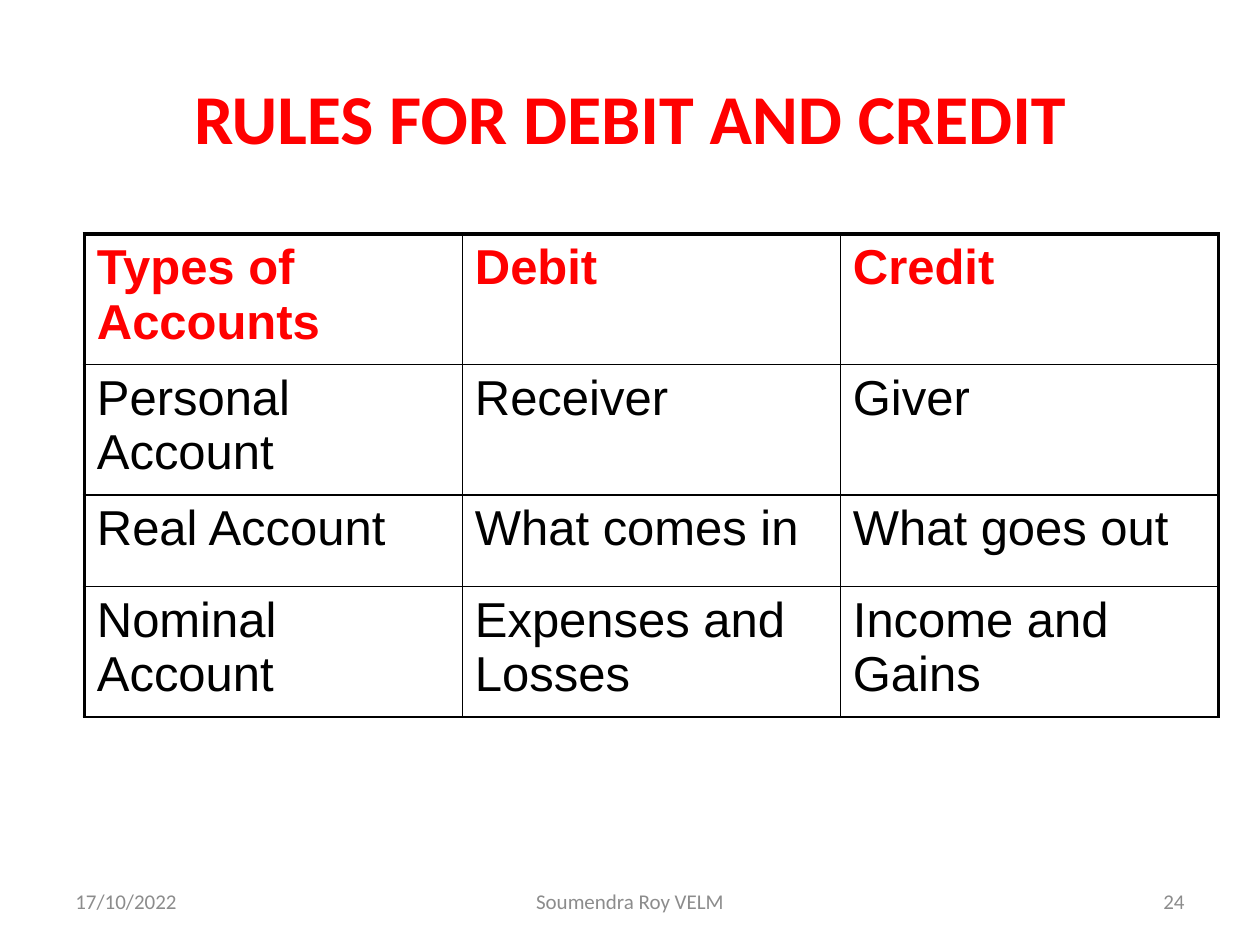
from dataclasses import dataclass

from lxml import etree
from pptx import Presentation
from pptx import util as u
from pptx.dml.color import RGBColor
from pptx.enum import text
from pptx.oxml import ns

RED = RGBColor(0xFF, 0x00, 0x00)
BLACK = RGBColor(0x00, 0x00, 0x00)
GREY = RGBColor(0x8C, 0x8C, 0x8C)

LEFT, CENTER, RIGHT = text.PP_ALIGN.LEFT, text.PP_ALIGN.CENTER, text.PP_ALIGN.RIGHT

TITLE_FORMAT = {"name": "Calibri", "size": u.Pt(40), "bold": True}
FOOTER_FORMAT = {"name": "Calibri", "size": u.Pt(12), "bold": False}
HEAD_FORMAT = {"name": "Arial", "size": u.Pt(28), "bold": True}
BODY_FORMAT = {**HEAD_FORMAT, "bold": False}

THIN, THICK = u.Pt(1), u.Pt(2.25)


@dataclass
class Label:
    words: str
    left: float
    top: float
    width: float
    height: float
    align: text.PP_ALIGN
    font: dict
    color: RGBColor


FOOTER_TOP, FOOTER_HEIGHT = 17.66, 1.01
LABELS = [
    Label("17/10/2022", 1.27, FOOTER_TOP, 5.93, FOOTER_HEIGHT, LEFT, FOOTER_FORMAT, GREY),
    Label("Soumendra Roy VELM", 8.68, FOOTER_TOP, 8.04, FOOTER_HEIGHT, CENTER, FOOTER_FORMAT, GREY),
    Label("24", 18.2, FOOTER_TOP, 5.93, FOOTER_HEIGHT, RIGHT, FOOTER_FORMAT, GREY),
    Label("RULES FOR DEBIT AND CREDIT", 1.27, 0.76, 22.86, 3.18, CENTER, TITLE_FORMAT, RED),
]

RULES = [
    ("Types of Accounts", "Debit", "Credit"),
    ("Personal Account", "Receiver", "Giver"),
    ("Real Account", "What comes in", "What goes out"),
    ("Nominal Account", "Expenses and Losses", "Income and Gains"),
]
ROW_HEIGHTS = [2.1, 2.1, 1.85, 2.1]
COLUMN_WIDTH = 7.62


def write(para, words: str, font: dict, color: RGBColor) -> None:
    span = para.add_run()
    span.text = words
    for name, value in font.items():
        setattr(span.font, name, value)
    span.font.color.rgb = color


def draw_label(page, label: Label) -> None:
    box = page.shapes.add_textbox(
        u.Cm(label.left), u.Cm(label.top), u.Cm(label.width), u.Cm(label.height))
    frame = box.text_frame
    frame.word_wrap = True
    frame.vertical_anchor = text.MSO_ANCHOR.MIDDLE
    para = frame.paragraphs[0]
    para.alignment = label.align
    write(para, label.words, label.font, label.color)


def add_borders(cell, widths: dict) -> None:
    """Put the border lines ahead of the cell's fill, as the schema asks."""
    properties = cell._tc.get_or_add_tcPr()
    for position, (side, width) in enumerate(widths.items()):
        line = etree.Element(ns.qn(f"a:{side}"), w=str(int(width)))
        fill = etree.SubElement(line, ns.qn("a:solidFill"))
        etree.SubElement(fill, ns.qn("a:srgbClr"), val=str(BLACK))
        properties.insert(position, line)


def draw_rules(page, left: float, top: float) -> None:
    row_count, column_count = len(RULES), len(RULES[0])
    table = page.shapes.add_table(
        row_count, column_count, u.Cm(left), u.Cm(top),
        u.Cm(COLUMN_WIDTH * column_count), u.Cm(sum(ROW_HEIGHTS))).table
    table.horz_banding = False
    for column in table.columns:
        column.width = u.Cm(COLUMN_WIDTH)
    for r, (words_in_row, height) in enumerate(zip(RULES, ROW_HEIGHTS)):
        table.rows[r].height = u.Cm(height)
        font, color = (HEAD_FORMAT, RED) if r == 0 else (BODY_FORMAT, BLACK)
        for c, words in enumerate(words_in_row):
            cell = table.cell(r, c)
            cell.fill.background()
            write(cell.text_frame.paragraphs[0], words, font, color)
            # Thick outline on the left, top and right; thin lines elsewhere
            add_borders(cell, {
                "lnL": THICK if c == 0 else THIN,
                "lnR": THICK if c == column_count - 1 else THIN,
                "lnT": THICK if r == 0 else THIN,
                "lnB": THIN,
            })


def main() -> None:
    deck = Presentation()
    deck.slide_width, deck.slide_height = u.Cm(25.4), u.Cm(19.05)
    page = deck.slides.add_slide(deck.slide_layouts[6])

    # Title and footer
    for label in LABELS:
        draw_label(page, label)

    # Table of rules
    draw_rules(page, left=1.7, top=4.72)

    deck.save("out.pptx")


if __name__ == "__main__":
    main()
